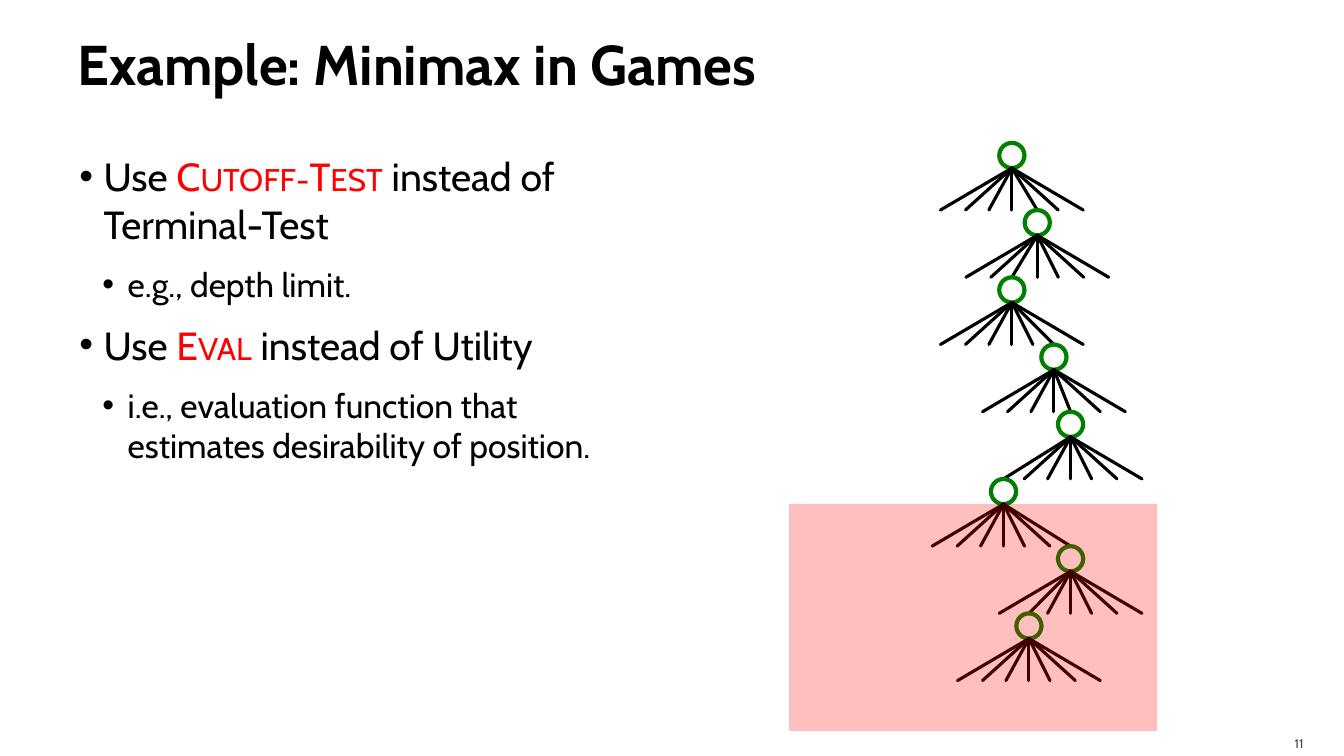
from dataclasses import dataclass
from lxml import etree
from pptx import Presentation
from pptx.dml.color import RGBColor
from pptx.enum.shapes import MSO_CONNECTOR, MSO_SHAPE
from pptx.enum.text import MSO_ANCHOR, PP_ALIGN
from pptx.oxml.ns import qn
from pptx.util import Cm, Pt

OVAL = MSO_SHAPE.OVAL
RECTANGLE = MSO_SHAPE.RECTANGLE
STRAIGHT = MSO_CONNECTOR.STRAIGHT
TOP = MSO_ANCHOR.TOP
MIDDLE = MSO_ANCHOR.MIDDLE
LEFT = PP_ALIGN.LEFT
RIGHT = PP_ALIGN.RIGHT


@dataclass(frozen=True)
class Theme:
    font: str = "Cabin"
    text: str = "000000"
    accent: str = "FF0000"
    muted: str = "454545"
    node: str = "008000"
    title_size: int = 40
    body_sizes: tuple = (28, 24)
    number_size: int = 9
    node_line: float = 3
    branch_line: float = 2.25
    cutoff_opacity: int = 25


THEME = Theme()

TITLE_BOX = (1.7, 0.43, 30.48, 2.34)
BODY_BOX = (1.7, 3.6, 14.96, 15.29)
NUMBER_BOX = (30.38, 18.29, 2.72, 0.76)
TREE_BOX = (23.5, 3.6, 5.3, 13.55)
CUTOFF_BOX = (19.89, 12.7, 9.27, 5.72)

BULLETS = [
    (0, [("Use ", False), ("Cutoff-Test", True), (" instead of Terminal-Test", False)]),
    (1, [("e.g., depth limit.", False)]),
    (0, [("Use ", False), ("Eval", True), (" instead of Utility", False)]),
    (1, [("i.e., evaluation function that estimates desirability of position.", False)]),
]
BULLET_INDENTS = ((0.66, -0.61), (1.27, -0.64))

NODE_OFFSETS = (2, 2.64, 2, 3.06, 3.48, 1.79, 3.48, 2.43)
BRANCH_SPREAD = (-1.8, -1.17, -0.58, 0, 0.53, 1.17, 1.8)
NODE_SHARE = 0.375


def apply(target, values):
    for name, value in values.items():
        setattr(target, name, value)


def color(value):
    return RGBColor.from_string(value)


def add_text_frame(slide, box, anchor, margins):
    frame = slide.shapes.add_textbox(*map(Cm, box)).text_frame
    left, top, right, bottom = map(Cm, margins)
    apply(frame, {
        "word_wrap": True, "vertical_anchor": anchor,
        "margin_left": left, "margin_top": top,
        "margin_right": right, "margin_bottom": bottom,
    })
    return frame


def add_run(paragraph, text, size, value, bold=False):
    run = paragraph.add_run()
    run.text = text
    apply(run.font, {"name": THEME.font, "size": Pt(size), "bold": bold})
    run.font.color.rgb = color(value)
    return run


def add_title(slide, box):
    frame = add_text_frame(slide, box, MIDDLE, (0.25, 0.13, 0.13, 0.13))
    add_run(frame.paragraphs[0], "Example: Minimax in Games",
            THEME.title_size, THEME.text, bold=True)


def set_bullet(paragraph, level):
    left, hanging = BULLET_INDENTS[level]
    properties = paragraph._p.get_or_add_pPr()
    properties.set("marL", str(Cm(left)))
    properties.set("indent", str(Cm(hanging)))
    bullet_color = etree.SubElement(properties, qn("a:buClr"))
    etree.SubElement(bullet_color, qn("a:srgbClr"), val=THEME.text)
    etree.SubElement(properties, qn("a:buFont"), typeface="Arial")
    etree.SubElement(properties, qn("a:buChar"), char="•")


def add_body(slide, box):
    frame = add_text_frame(slide, box, TOP, (0.25, 0.25, 0.25, 0.13))
    for index, (level, pieces) in enumerate(BULLETS):
        paragraph = frame.add_paragraph() if index else frame.paragraphs[0]
        apply(paragraph, {"level": level, "alignment": LEFT,
                          "space_before": Pt(6), "space_after": Pt(6)})
        set_bullet(paragraph, level)
        for text, is_function in pieces:
            value = THEME.accent if is_function else THEME.text
            run = add_run(paragraph, text, THEME.body_sizes[level], value)
            if is_function:
                run.font._element.set("cap", "small")


def add_page_number(slide, box):
    frame = add_text_frame(slide, box, MIDDLE, (0.25, 0.13, 0.25, 0))
    frame.paragraphs[0].alignment = RIGHT
    add_run(frame.paragraphs[0], "11", THEME.number_size, THEME.muted)


def add_node(slide, center, top, diameter):
    node = slide.shapes.add_shape(
        OVAL, Cm(center - diameter / 2), Cm(top), Cm(diameter), Cm(diameter))
    node.shadow.inherit = False
    node.fill.background()
    node.line.color.rgb = color(THEME.node)
    node.line.width = Pt(THEME.node_line)


def add_branch(slide, start, end):
    branch = slide.shapes.add_connector(STRAIGHT, *map(Cm, start + end))
    branch.line.color.rgb = color(THEME.text)
    branch.line.width = Pt(THEME.branch_line)
    branch.line._ln.set("cap", "rnd")
    etree.SubElement(branch._element.spPr, qn("a:effectLst"))


def branch_ends(center, next_center):
    ends = [center + offset for offset in BRANCH_SPREAD]
    if next_center is not None:
        nearest = min(range(len(ends)), key=lambda index: abs(ends[index] - next_center))
        ends[nearest] = next_center
    return ends


def add_search_tree(slide, box):
    left, top, _, height = box
    centers = [left + offset for offset in NODE_OFFSETS]
    step = height / len(centers)
    diameter = step * NODE_SHARE
    for depth, (center, next_center) in enumerate(zip(centers, centers[1:] + [None])):
        node_top = top + depth * step
        add_node(slide, center, node_top, diameter)
        for end in branch_ends(center, next_center):
            add_branch(slide, (center, node_top + diameter), (end, node_top + step))


def add_cutoff_region(slide, box):
    region = slide.shapes.add_shape(RECTANGLE, *map(Cm, box))
    region.shadow.inherit = False
    region.line.fill.background()
    region.fill.solid()
    region.fill.fore_color.rgb = color(THEME.accent)
    fill_color = region._element.spPr.find(qn("a:solidFill"))[0]
    etree.SubElement(fill_color, qn("a:alpha"), val=str(THEME.cutoff_opacity * 1000))


def main():
    presentation = Presentation()
    apply(presentation, {"slide_width": Cm(33.87), "slide_height": Cm(19.05)})
    slide = presentation.slides.add_slide(presentation.slide_layouts[6])
    add_title(slide, TITLE_BOX)
    add_body(slide, BODY_BOX)
    add_page_number(slide, NUMBER_BOX)
    add_search_tree(slide, TREE_BOX)
    add_cutoff_region(slide, CUTOFF_BOX)
    presentation.save("out.pptx")


if __name__ == "__main__":
    main()
